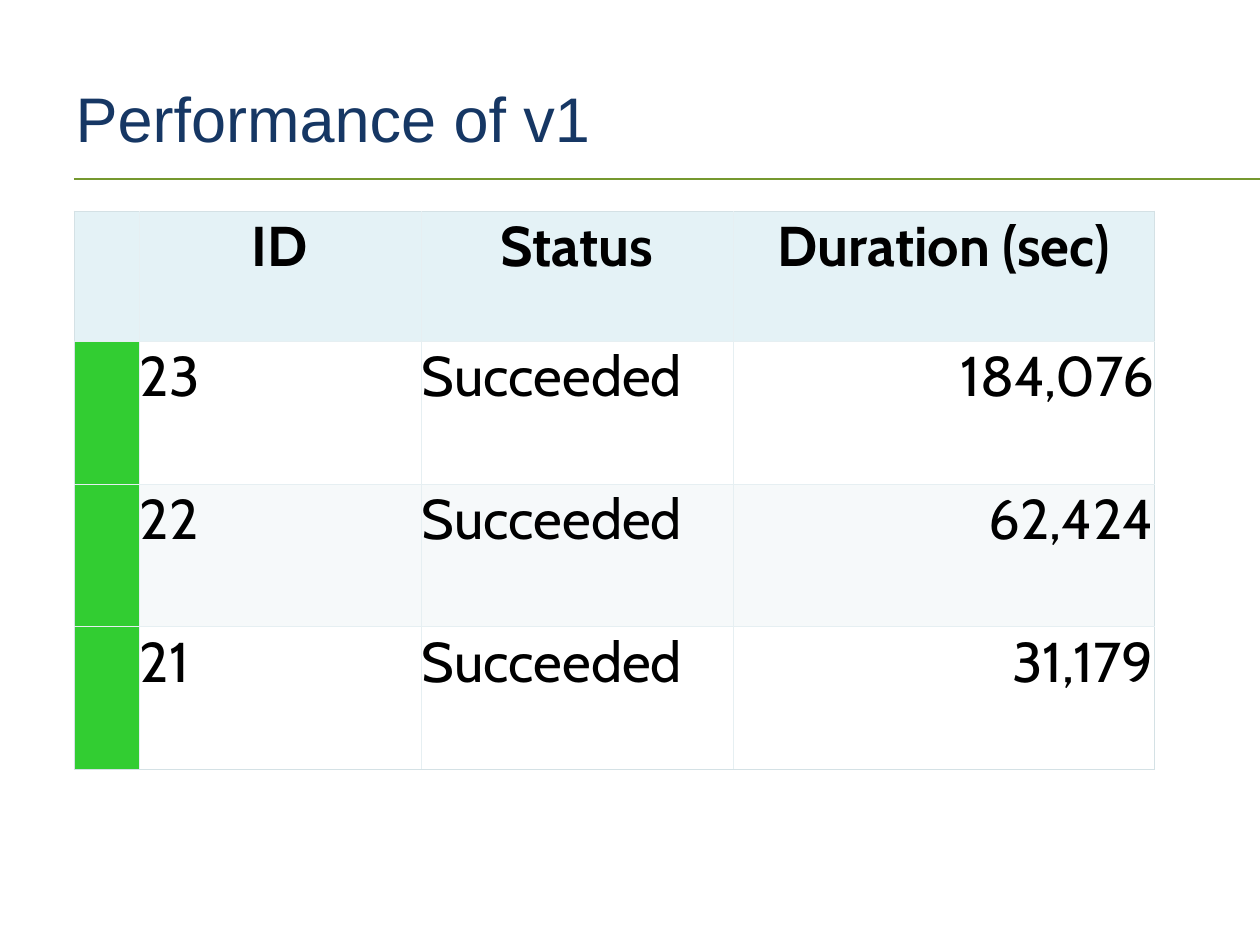
"""Build the slide that shows the run durations of v1."""
from dataclasses import dataclass

from lxml import etree
from pptx import Presentation
from pptx.dml.color import RGBColor
from pptx.enum.shapes import MSO_CONNECTOR
from pptx.enum.text import MSO_ANCHOR, PP_ALIGN
from pptx.oxml.ns import qn
from pptx.util import Emu, Pt

LEFT, CENTER, RIGHT = PP_ALIGN.LEFT, PP_ALIGN.CENTER, PP_ALIGN.RIGHT
TOP, MIDDLE = MSO_ANCHOR.TOP, MSO_ANCHOR.MIDDLE
STRAIGHT = MSO_CONNECTOR.STRAIGHT
TITLE_ONLY = 5
EMU_PER_PX = 914400 / 126


@dataclass(frozen=True)
class Theme:
    title_font: str = "Arial"
    table_font: str = "Cabin"
    title_size: int = 36
    table_size: int = 32
    title: str = "163764"
    text: str = "000000"
    rule: str = "75982F"
    header: str = "E4F2F6"
    band: str = "F6F9FA"
    success: str = "32CD32"
    grid: str = "E6EFF2"
    frame: str = "D4E1E5"
    rule_width: float = 1
    grid_width: float = 0.5


def px(length):
    return Emu(round(length * EMU_PER_PX))


class SlideBuilder:
    def __init__(self, slide, theme):
        self.slide = slide
        self.theme = theme

    def style(self, paragraph, font, size, color, align, bold=False):
        paragraph.alignment = align
        paragraph.font.name = font
        paragraph.font.size = Pt(size)
        paragraph.font.bold = bold
        paragraph.font.color.rgb = RGBColor.from_string(color)

    def title(self, text, left, top, width, height):
        heading = self.slide.shapes.title
        heading.left, heading.top = px(left), px(top)
        heading.width, heading.height = px(width), px(height)
        heading.text_frame.text = text
        heading.text_frame.vertical_anchor = MIDDLE
        self.style(heading.text_frame.paragraphs[0], self.theme.title_font,
                   self.theme.title_size, self.theme.title, LEFT)

    def rule(self, left, right, y):
        rule = self.slide.shapes.add_connector(STRAIGHT, px(left), px(y), px(right), px(y))
        rule.line.color.rgb = RGBColor.from_string(self.theme.rule)
        rule.line.width = Pt(self.theme.rule_width)
        etree.SubElement(rule._element.spPr, qn("a:effectLst"))

    def border(self, cell, side, color):
        properties = cell._tc.get_or_add_tcPr()
        edge = etree.SubElement(properties, qn(f"a:ln{side}"), w=str(Pt(self.theme.grid_width)))
        fill = etree.SubElement(edge, qn("a:solidFill"))
        etree.SubElement(fill, qn("a:srgbClr"), val=color)

    def cell(self, cell, text, align, bold, fill, outer_sides):
        for side in "LRTB":
            self.border(cell, side, self.theme.frame if side in outer_sides else self.theme.grid)
        if fill:
            cell.fill.solid()
            cell.fill.fore_color.rgb = RGBColor.from_string(fill)
        else:
            cell.fill.background()
        cell.margin_left = cell.margin_right = cell.margin_top = px(1)
        cell.margin_bottom = 0
        cell.vertical_anchor = TOP
        cell.text = text
        self.style(cell.text_frame.paragraphs[0], self.theme.table_font,
                   self.theme.table_size, self.theme.text, align, bold)

    def table(self, records, aligns, left, top, widths, heights):
        last_row, last_column = len(heights) - 1, len(widths) - 1
        table = self.slide.shapes.add_table(
            len(heights), len(widths), px(left), px(top),
            px(sum(widths)), px(sum(heights))).table
        for column, width in zip(table.columns, widths):
            column.width = px(width)
        for row, height in zip(table.rows, heights):
            row.height = px(height)
        for r, record in enumerate(records):
            for c, text in enumerate(record):
                header = r == 0
                if header:
                    fill = self.theme.header
                elif c == 0:
                    fill = self.theme.success
                else:
                    fill = self.theme.band if r % 2 == 0 else None
                edges = {"L": c == 0, "R": c == last_column, "T": header, "B": r == last_row}
                outer_sides = [side for side, outer in edges.items() if outer]
                self.cell(table.cell(r, c), text, CENTER if header else aligns[c],
                          header, fill, outer_sides)


def main():
    deck = Presentation()
    deck.slide_width, deck.slide_height = px(1260), px(945)
    slide = deck.slides.add_slide(deck.slide_layouts[TITLE_ONLY])
    builder = SlideBuilder(slide, Theme())
    builder.rule(74, 1260, 179)
    builder.title("Performance of v1", 63, 38, 1134, 158)
    runs = [
        ("", "ID", "Status", "Duration (sec)"),
        ("", "23", "Succeeded", "184,076"),
        ("", "22", "Succeeded", "62,424"),
        ("", "21", "Succeeded", "31,179"),
    ]
    builder.table(runs, (LEFT, LEFT, LEFT, RIGHT), 74, 211,
                  widths=(65, 282, 312, 422), heights=(130, 143, 143, 143))
    deck.save("out.pptx")


if __name__ == "__main__":
    main()
